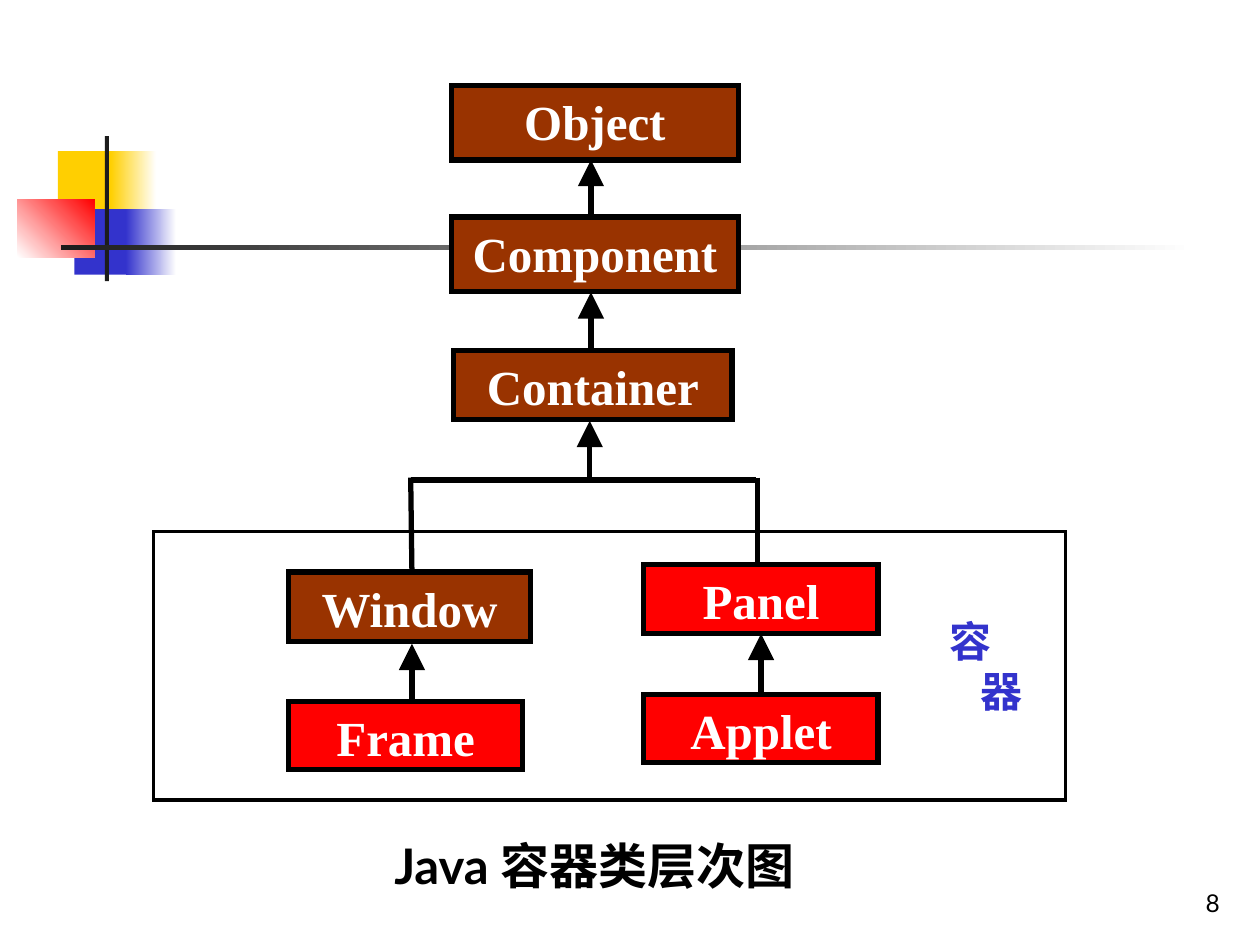
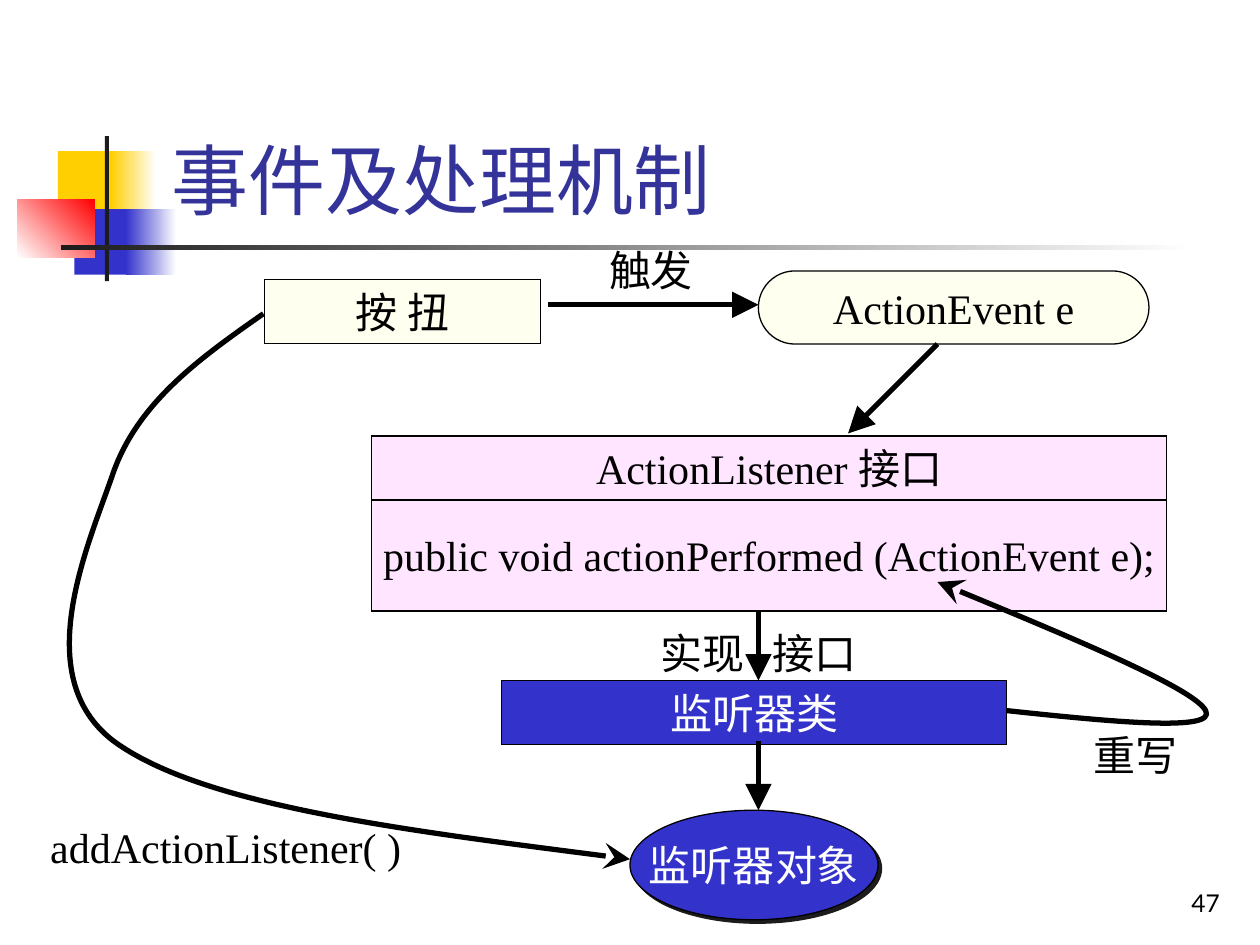
from dataclasses import dataclass

from lxml import etree
from pptx import Presentation
from pptx.dml.color import RGBColor
from pptx.enum import shapes, text
from pptx.oxml import ns
from pptx.util import Pt


@dataclass(frozen=True)
class Theme:
    black: str = "000000"
    white: str = "FFFFFF"
    ink: str = "1C1C1C"
    yellow: str = "FFCF01"
    blue: str = "3333CC"
    red: str = "FF0000"
    brown: str = "993300"
    title: str = "333399"
    cream: str = "FFFFEF"
    pink: str = "FFE5FF"
    sans: str = "Lato"
    serif: str = "Times New Roman"
    arial: str = "Arial"
    title_size: int = 44
    class_size: int = 28
    label_size: int = 24
    number_size: int = 14
    heavy: float = 3
    frame: float = 1.75
    thin: float = 0.75


THEME = Theme()
RECTANGLE = shapes.MSO_SHAPE.RECTANGLE
ALIGN = text.PP_ALIGN
ANCHOR = text.MSO_ANCHOR


def add_box(slide, place, content="", kind=None, fill=None, line=0, font=THEME.serif,
            size=THEME.label_size, color=THEME.black, bold=False,
            align=ALIGN.CENTER, anchor=ANCHOR.MIDDLE):
    """Add a shape of the given kind, or a text box without one; a pair of fills is a gradient."""
    place = [Pt(value) for value in place]
    if kind is None:
        shape = slide.shapes.add_textbox(*place)
    else:
        shape = slide.shapes.add_shape(kind, *place)
        shape.shadow.inherit = False
    if isinstance(fill, tuple):
        shape.fill.gradient()
        shape.fill.gradient_angle = 0
        for stop, stop_color in zip(shape.fill.gradient_stops, fill):
            stop.color.rgb = RGBColor.from_string(stop_color)
    elif fill:
        shape.fill.solid()
        shape.fill.fore_color.rgb = RGBColor.from_string(fill)
    else:
        shape.fill.background()
    if line:
        shape.line.color.rgb = RGBColor.from_string(THEME.black)
        shape.line.width = Pt(line)
        etree.SubElement(shape.element.spPr.find(ns.qn("a:ln")), ns.qn("a:miter"), lim="800000")
    else:
        shape.line.fill.background()
    if content:
        frame = shape.text_frame
        frame.text = content
        frame.word_wrap = False
        frame.vertical_anchor = anchor
        for paragraph in frame.paragraphs:
            paragraph.alignment = align
            for run in paragraph.runs:
                run.font.name = font
                run.font.size = Pt(size)
                run.font.bold = bold
                run.font.color.rgb = RGBColor.from_string(color)
    return shape


def style_stroke(shape, head=None):
    """Draw a connector or curve as a heavy black line with an optional large arrowhead."""
    shape.line.color.rgb = RGBColor.from_string(THEME.black)
    shape.line.width = Pt(THEME.heavy)
    properties = shape.element.spPr
    if head:
        etree.SubElement(properties.find(ns.qn("a:ln")), ns.qn("a:tailEnd"),
                         type=head, w="lg", len="lg")
    etree.SubElement(properties, ns.qn("a:effectLst"))


presentation = Presentation()
presentation.slide_width, presentation.slide_height = Pt(720), Pt(540)
hierarchy = presentation.slides.add_slide(presentation.slide_layouts[6])
events = presentation.slides.add_slide(presentation.slide_layouts[5])

# Shared decoration, moved to the master
master_tree = presentation.slide_master.shapes.element
decoration = [
    ((33.1, 86.4, 34.6, 37.4), THEME.yellow, 0),
    ((63.3, 86.4, 26, 37.4), (THEME.yellow, THEME.white), 0),
    ((42.5, 119.5, 33.1, 37.4), THEME.blue, 0),
    ((72, 119.5, 28.8, 37.4), (THEME.blue, THEME.white), 0),
    ((10, 113.8, 44, 33.1), (THEME.white, THEME.red), 45),
    ((59.9, 77.8, 2.4, 82.8), THEME.ink, 0),
    ((34.6, 140.2, 648, 2.4), (THEME.ink, THEME.white), 0),
]
for position, (place, fill, angle) in enumerate(decoration, start=2):
    block = add_box(hierarchy, place, kind=RECTANGLE, fill=fill)
    if angle:
        block.fill.gradient_angle = angle
    master_tree.insert(position, block.element)

for slide, number in ((hierarchy, "8"), (events, "47")):
    add_box(slide, (554.4, 491.8, 149.8, 36), number, font=THEME.sans,
            size=THEME.number_size, align=ALIGN.RIGHT, anchor=ANCHOR.BOTTOM)

# Slide 1: container class hierarchy
add_box(hierarchy, (87.8, 303.8, 521.3, 153.4), kind=RECTANGLE, line=THEME.frame)
classes = [
    ("Object", THEME.brown, (257.8, 49, 164.2, 42.5)),
    ("Component", THEME.brown, (257.8, 124, 164.2, 42.5)),
    ("Container", THEME.brown, (259.2, 200.2, 159.1, 39.6)),
    ("Window", THEME.brown, (164.9, 326.9, 138.2, 39.6)),
    ("Panel", THEME.red, (367.9, 322.6, 133.9, 39.6)),
    ("Frame", THEME.red, (164.9, 401, 133.9, 38.9)),
    ("Applet", THEME.red, (367.9, 396.7, 133.9, 38.9)),
]
for name, fill, place in classes:
    add_box(hierarchy, place, name, RECTANGLE, fill, THEME.heavy, size=THEME.class_size,
            color=THEME.white, bold=True, anchor=ANCHOR.TOP)

container_label = add_box(hierarchy, (542.5, 347.5, 42, 66), "容\n器", font=THEME.sans,
                          color=THEME.blue, bold=True, align=ALIGN.LEFT)
container_label.text_frame.margin_left = container_label.text_frame.margin_right = 0
container_label.text_frame.word_wrap = True
container_label.text_frame.paragraphs[1].alignment = ALIGN.RIGHT
add_box(hierarchy, (218.2, 474, 255.6, 41), "Java 容器类层次图", font=THEME.sans,
        size=THEME.class_size, bold=True, align=ALIGN.LEFT, anchor=ANCHOR.TOP)

# Slide 2: event handling
title = events.shapes.title
title.left, title.top, title.width, title.height = Pt(90.7), Pt(17), Pt(613.4), Pt(115.2)
title.text_frame.text = "事件及处理机制"
title.text_frame.auto_size = text.MSO_AUTO_SIZE.NONE
title.text_frame.vertical_anchor = ANCHOR.BOTTOM
title_paragraph = title.text_frame.paragraphs[0]
title_paragraph.alignment = ALIGN.LEFT
title_font = title_paragraph.runs[0].font
title_font.name, title_font.size = THEME.sans, Pt(THEME.title_size)
title_font.color.rgb = RGBColor.from_string(THEME.title)

add_box(events, (151.2, 159.8, 157.7, 36.7), "按 扭", RECTANGLE, THEME.cream,
        THEME.thin, font=THEME.arial)
event = add_box(events, (433.4, 154.8, 223.2, 41.8), "ActionEvent e",
                shapes.MSO_SHAPE.ROUNDED_RECTANGLE, THEME.cream, THEME.thin)
event.adjustments[0] = 0.5
add_box(events, (212.4, 285.1, 454.3, 64.1), "public void actionPerformed (ActionEvent e);",
        RECTANGLE, THEME.pink, THEME.thin)
add_box(events, (212.4, 249.1, 454.3, 36.7), "ActionListener 接口",
        RECTANGLE, THEME.pink, THEME.thin)
add_box(events, (286.6, 388.8, 288.7, 36.7), "监听器类", RECTANGLE, THEME.blue,
        THEME.thin, color=THEME.white)
listener = add_box(events, (360, 463, 141.8, 62.6), "监听器对象", shapes.MSO_SHAPE.OVAL,
                   THEME.blue, THEME.thin, color=THEME.white)
shadow = etree.SubElement(listener.element.spPr.find(ns.qn("a:effectLst")),
                          ns.qn("a:outerShdw"), dist=str(Pt(2.8)), dir="2700000",
                          algn="ctr", rotWithShape="0")
etree.SubElement(shadow, ns.qn("a:srgbClr"), val=THEME.ink)

# Labels: wording, centre and width
label_height = 38
labels = [("触发", 372, 154, 90), ("实现", 401.5, 373, 64), ("接口", 465.5, 373, 64),
          ("重写", 649, 431.5, 90), ("addActionListener( )", 129, 484, 230)]
for label, center_x, center_y, width in labels:
    add_box(events, (center_x - width / 2, center_y - label_height / 2,
                     width, label_height), label)

# Straight lines and arrows: slide, start, end, arrowhead
strokes = [
    (hierarchy, (337.7, 124.6), (337.7, 91.4), "triangle"),
    (hierarchy, (337.7, 199.4), (337.7, 167), "triangle"),
    (hierarchy, (337, 272.9), (337, 240.5), "triangle"),
    (hierarchy, (234.7, 274.3), (432, 274.3), None),
    (hierarchy, (234.7, 272.9), (235.4, 326.9), None),
    (hierarchy, (432.7, 272.9), (432.7, 322.6), None),
    (hierarchy, (235.4, 400.3), (235.4, 367.9), "triangle"),
    (hierarchy, (434.9, 395.3), (434.9, 362.2), "triangle"),
    (events, (313.2, 174.2), (433.4, 174.2), "triangle"),
    (events, (535.7, 196.6), (484.6, 247.7), "triangle"),
    (events, (433.4, 349.2), (433.4, 388.8), "triangle"),
    (events, (433.4, 423.4), (433.4, 463), "triangle"),
]
for slide, start, end, head in strokes:
    ends = [Pt(value) for value in start + end]
    style_stroke(slide.shapes.add_connector(shapes.MSO_CONNECTOR.STRAIGHT, *ends), head)

# Curves: a start point, then two control points and an end point per segment
override_curve = [(575.3, 406.1), (635.8, 412.6), (695.5, 418.3), (689, 406.1),
                  (682.6, 393.8), (609.1, 362.9), (535.7, 332.6)]
register_curve = [(150.5, 179.3), (114.5, 204.5), (79.2, 229.7), (64.8, 270),
                  (51.1, 310.3), (15.8, 385.9), (64.8, 423.4),
                  (114.5, 460.1), (236.9, 475.2), (360, 491)]
for curve in (override_curve, register_curve):
    points = [(Pt(x), Pt(y)) for x, y in curve]
    builder = events.shapes.build_freeform(*points[0])
    builder.add_line_segments(points[1:], close=False)
    shape = builder.convert_to_shape()
    shape.fill.background()
    style_stroke(shape, "stealth")
    outline = shape.element.xpath(".//a:path")[0]
    segments = outline.findall(ns.qn("a:lnTo"))
    for first in range(0, len(segments), 3):
        bezier = etree.SubElement(outline, ns.qn("a:cubicBezTo"))
        for segment in segments[first:first + 3]:
            bezier.append(segment[0])
            outline.remove(segment)

presentation.save("out.pptx")
